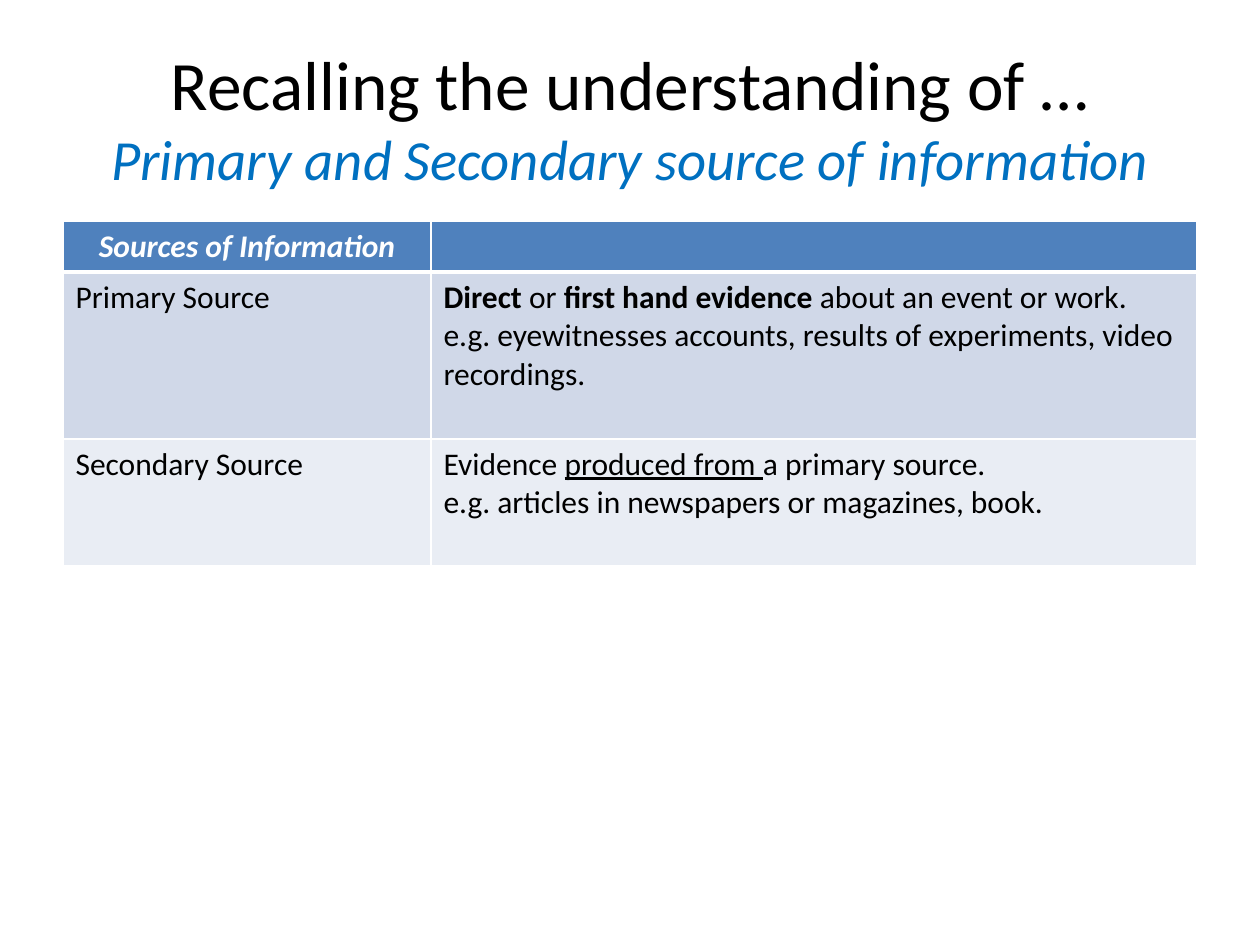
from lxml import etree
from pptx import Presentation
from pptx.dml.color import RGBColor
from pptx.enum.text import MSO_ANCHOR, MSO_AUTO_SIZE, PP_ALIGN
from pptx.oxml.ns import qn
from pptx.util import Emu, Pt

CENTER, LEFT = PP_ALIGN.CENTER, PP_ALIGN.LEFT
MIDDLE = MSO_ANCHOR.MIDDLE
NO_FIT = MSO_AUTO_SIZE.NONE

COLORS = {
    "ink": "000000",
    "accent": "0070C0",
    "white": "FFFFFF",
    "header": "4F81BD",
    "primary": "D0D8E8",
    "secondary": "E9EDF4",
}
FONT = "Calibri"
BOLD = {"bold": True}
UNDERLINE = {"underline": True}

TITLE = [
    ("Recalling the understanding of …", 39.6, "ink", {}),
    ("Primary and Secondary source of information", 32.4, "accent", {"italic": True}),
]
ROWS = [
    ("header", 50, [
        [[("Sources of Information", {"bold": True, "italic": True})]],
        [],
    ]),
    ("primary", 167, [
        [[("Primary Source", {})]],
        [
            [("Direct", BOLD), (" or ", {}), ("first hand evidence ", BOLD),
             ("about an event or work.", {})],
            [("e.g. eyewitnesses accounts, results of experiments, video recordings.", {})],
        ],
    ]),
    ("secondary", 127, [
        [[("Secondary Source", {})]],
        [
            [("Evidence ", {}), ("produced from ", UNDERLINE), ("a primary source.", {})],
            [("e.g. articles in newspapers or magazines, book.", {})],
        ],
    ]),
]
COLUMNS = [368, 766]
LEFT_EDGE, TITLE_TOP, TITLE_HEIGHT, TABLE_TOP = 63, 38, 157, 221


def px(length):
    return Emu(round(length * 914400 / 126))


def style(span, size, color, extra):
    values = {"name": FONT, "size": Pt(size), "bold": False, "italic": False, **extra}
    for name, value in values.items():
        setattr(span.font, name, value)
    span.font.color.rgb = RGBColor.from_string(COLORS[color])


def add_border(cell, side, points):
    line = etree.Element(qn("a:" + side), w=str(Pt(points)))
    fill = etree.SubElement(line, qn("a:solidFill"))
    etree.SubElement(fill, qn("a:srgbClr"), val=COLORS["white"])
    return line


def format_cell(cell, kind, paragraphs):
    cell.fill.solid()
    cell.fill.fore_color.rgb = RGBColor.from_string(COLORS[kind])
    header = kind == "header"
    widths = {
        "lnL": 1,
        "lnR": 1,
        "lnT": 3 if kind == "primary" else 1,
        "lnB": 3 if header else 1,
    }
    properties = cell._tc.get_or_add_tcPr()
    for index, (side, points) in enumerate(widths.items()):
        properties.insert(index, add_border(cell, side, points))
    for index, spans in enumerate(paragraphs):
        frame = cell.text_frame
        para = frame.add_paragraph() if index else frame.paragraphs[0]
        para.alignment = CENTER if header else LEFT
        for text, extra in spans:
            span = para.add_run()
            span.text = text
            style(span, 18, "white" if header else "ink", extra)


def main():
    deck = Presentation()
    deck.slide_width, deck.slide_height = px(1260), px(945)
    page = deck.slides.add_slide(deck.slide_layouts[5])
    width = sum(COLUMNS)

    title = page.shapes.title
    title.left, title.top = px(LEFT_EDGE), px(TITLE_TOP)
    title.width, title.height = px(width), px(TITLE_HEIGHT)
    frame = title.text_frame
    frame.auto_size, frame.vertical_anchor, frame.word_wrap = NO_FIT, MIDDLE, True
    para = frame.paragraphs[0]
    para.alignment = CENTER
    for index, (text, size, color, extra) in enumerate(TITLE):
        if index:
            para.add_line_break()
        span = para.add_run()
        span.text = text
        style(span, size, color, extra)

    height = sum(row[1] for row in ROWS)
    table = page.shapes.add_table(
        len(ROWS), len(COLUMNS), px(LEFT_EDGE), px(TABLE_TOP), px(width), px(height)
    ).table
    for column, column_width in zip(table.columns, COLUMNS):
        column.width = px(column_width)
    for row, (kind, row_height, contents) in zip(table.rows, ROWS):
        row.height = px(row_height)
        for cell, paragraphs in zip(row.cells, contents):
            format_cell(cell, kind, paragraphs)

    deck.save("out.pptx")


if __name__ == "__main__":
    main()
